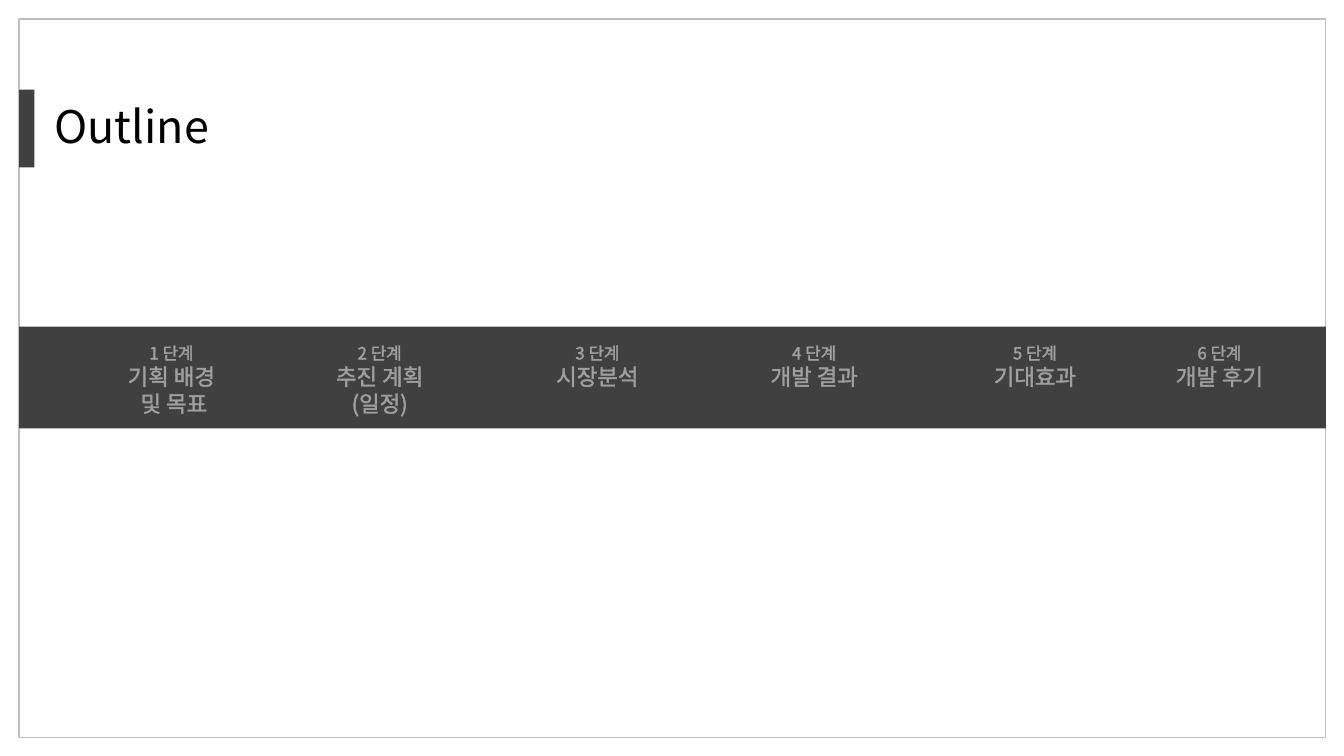
from dataclasses import dataclass

from lxml import etree
from pptx import Presentation
from pptx.dml.color import RGBColor
from pptx.enum import shapes, text
from pptx.oxml import ns
from pptx.util import Inches, Pt


@dataclass(frozen=True)
class Theme:
    font: str = "Noto Sans CJK KR"
    dark: str = "404040"
    border: str = "BFBFBF"
    ink: str = "000000"
    light: str = "FFFFFF"
    title_size: int = 32
    step_size: int = 12
    label_size: int = 16


theme = Theme()


def style_text(para, size, color):
    """Format each run, with a half-transparent outline in the text colour."""
    for span in para.runs:
        span.font.size = Pt(size)
        span.font.name = theme.font
        span.font.color.rgb = RGBColor.from_string(color)
        props = span.font._element
        east_asian = etree.Element(ns.qn("a:ea"), typeface=theme.font)
        props.find(ns.qn("a:latin")).addnext(east_asian)
        outline = etree.Element(ns.qn("a:ln"), w=str(Pt(0.75)))
        fill = etree.SubElement(outline, ns.qn("a:solidFill"))
        tint = etree.SubElement(fill, ns.qn("a:srgbClr"), val=color)
        etree.SubElement(tint, ns.qn("a:alpha"), val="50000")
        props.insert(0, outline)


def add_panel(page, left, top, width, height, fill=None):
    """Add a rectangle: solid when a fill is given, else only a thin border."""
    panel = page.shapes.add_shape(
        shapes.MSO_SHAPE.RECTANGLE,
        Inches(left), Inches(top), Inches(width), Inches(height))
    panel.shadow.inherit = False
    if fill:
        panel.fill.solid()
        panel.fill.fore_color.rgb = RGBColor.from_string(fill)
        panel.line.fill.background()
    else:
        panel.fill.background()
        panel.line.color.rgb = RGBColor.from_string(theme.border)
        panel.line.width = Pt(1)


deck = Presentation()
deck.slide_width, deck.slide_height = Inches(13.33), Inches(7.5)
page = deck.slides.add_slide(deck.slide_layouts[5])

# Frame, title marker and the band behind the steps
add_panel(page, 0.19, 0.19, 12.96, 7.13)
add_panel(page, 0.19, 0.89, 0.15, 0.77, theme.dark)
add_panel(page, 0.19, 3.24, 12.96, 1.01, theme.dark)

title = page.shapes.title
title.left, title.top = Inches(0.44), Inches(0.93)
title.width, title.height = Inches(2.29), Inches(0.64)
title.text_frame.text = "Outline"
title.text_frame.auto_size = text.MSO_AUTO_SIZE.SHAPE_TO_FIT_TEXT
title.text_frame.vertical_anchor = text.MSO_ANCHOR.TOP
title_para = title.text_frame.paragraphs[0]
title_para.alignment = text.PP_ALIGN.LEFT
style_text(title_para, theme.title_size, theme.ink)

# Left, width, height and label lines of each step
steps = [
    (0.98, 1.44, 0.84, ["기획 배경", " 및 목표"]),
    (3.14, 1.25, 0.84, ["추진 계획(일정)"]),
    (5.30, 1.25, 0.57, ["시장분석"]),
    (7.45, 1.25, 0.57, ["개발 결과"]),
    (9.48, 1.57, 0.57, ["기대효과"]),
    (11.31, 1.57, 0.57, ["개발 후기"]),
]
for number, (left, width, height, label) in enumerate(steps, start=1):
    box = page.shapes.add_textbox(
        Inches(left), Inches(3.35), Inches(width), Inches(height))
    frame = box.text_frame
    frame.word_wrap = True
    frame.auto_size = text.MSO_AUTO_SIZE.SHAPE_TO_FIT_TEXT
    frame.text = "\n".join([f"{number} 단계", *label])
    for row, para in enumerate(frame.paragraphs):
        para.alignment = text.PP_ALIGN.CENTER
        size = theme.label_size if row else theme.step_size
        style_text(para, size, theme.light)

deck.save("out.pptx")
